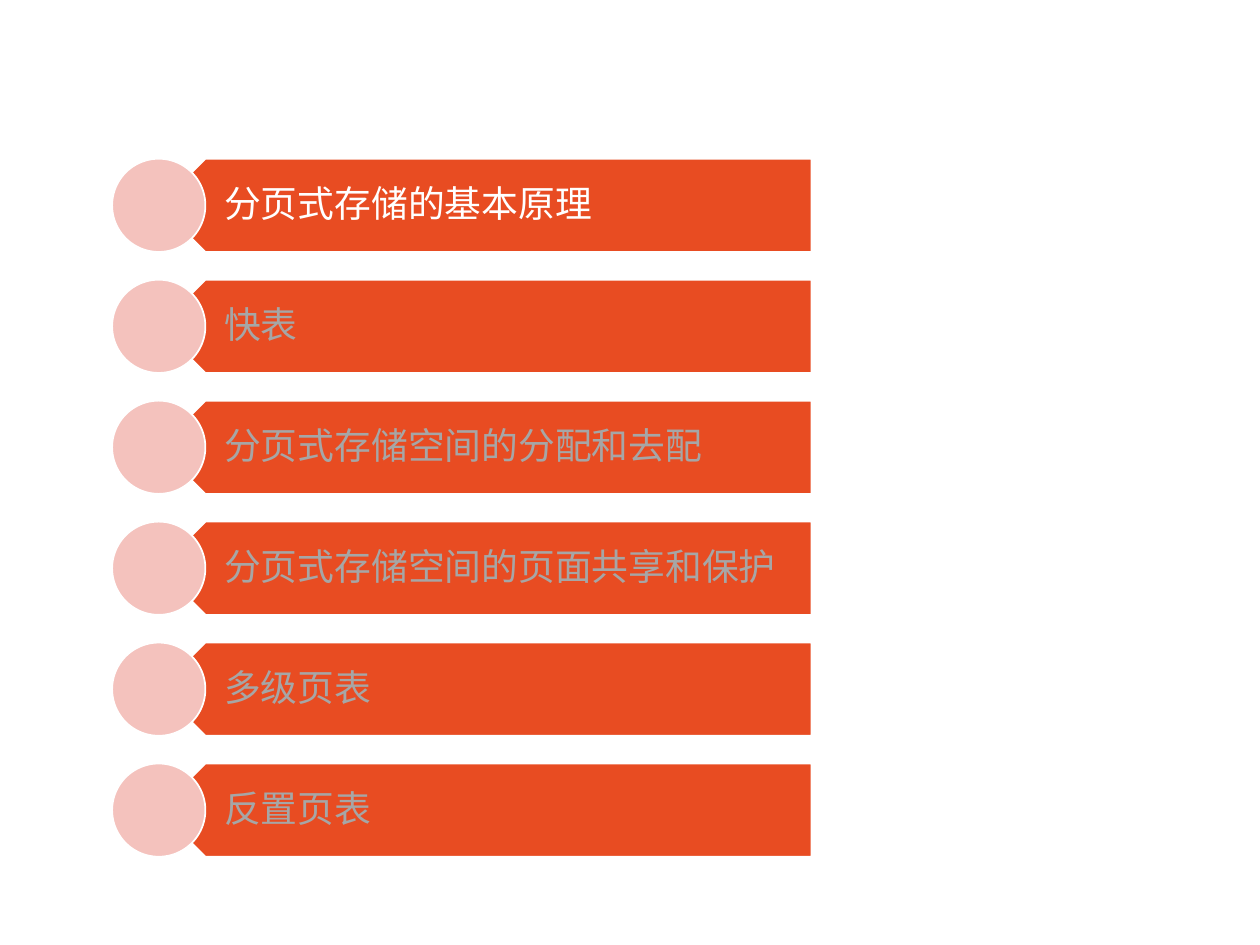
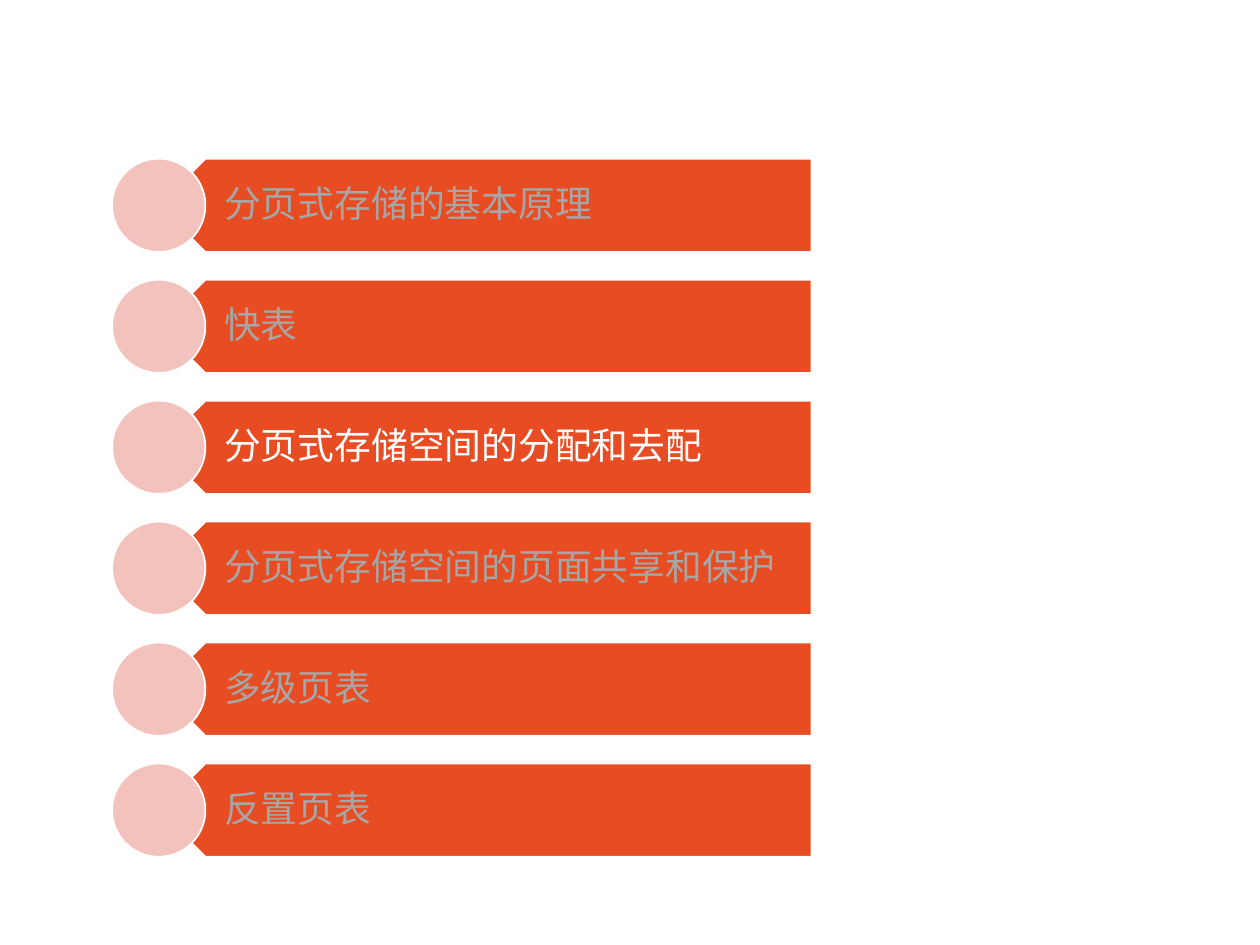
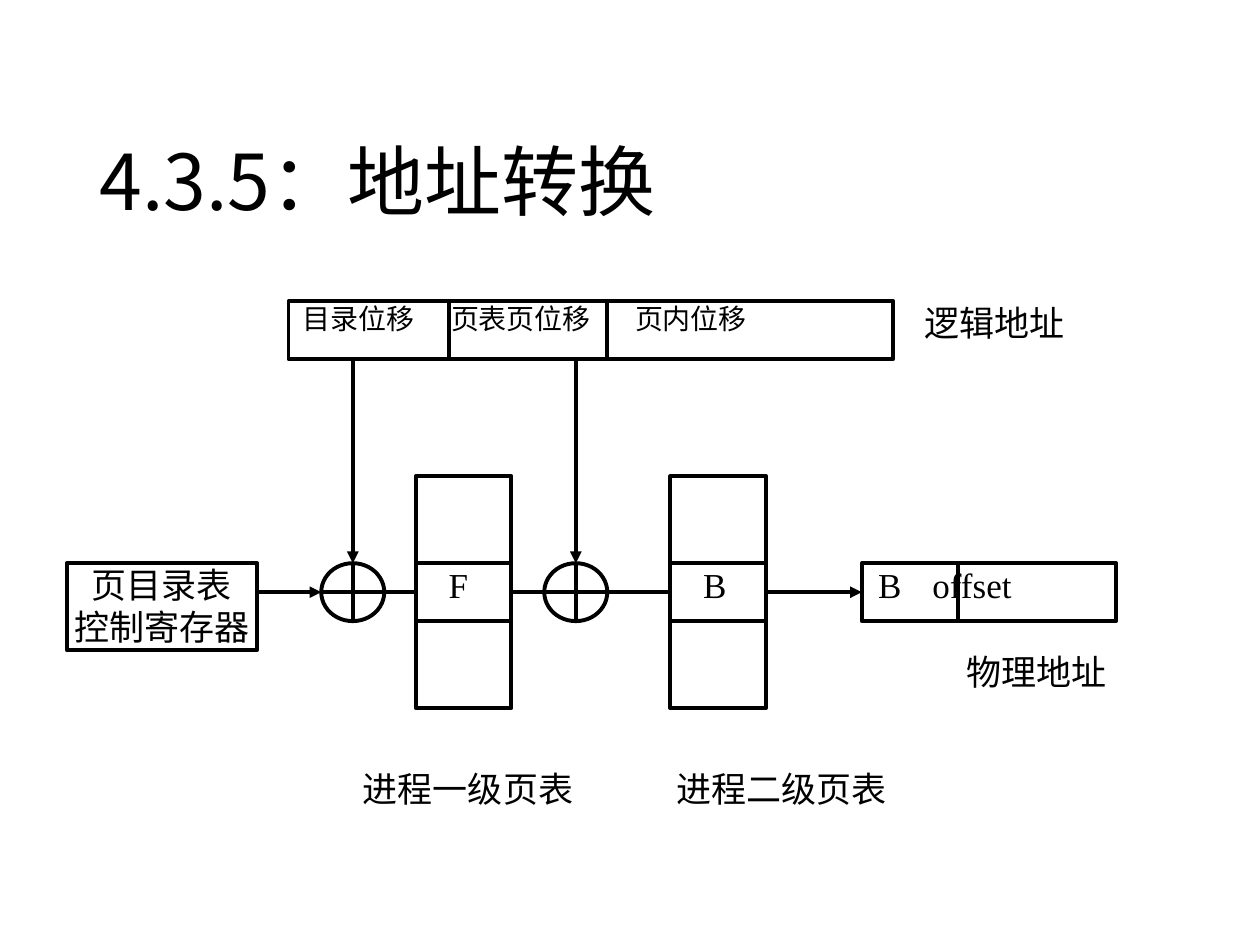
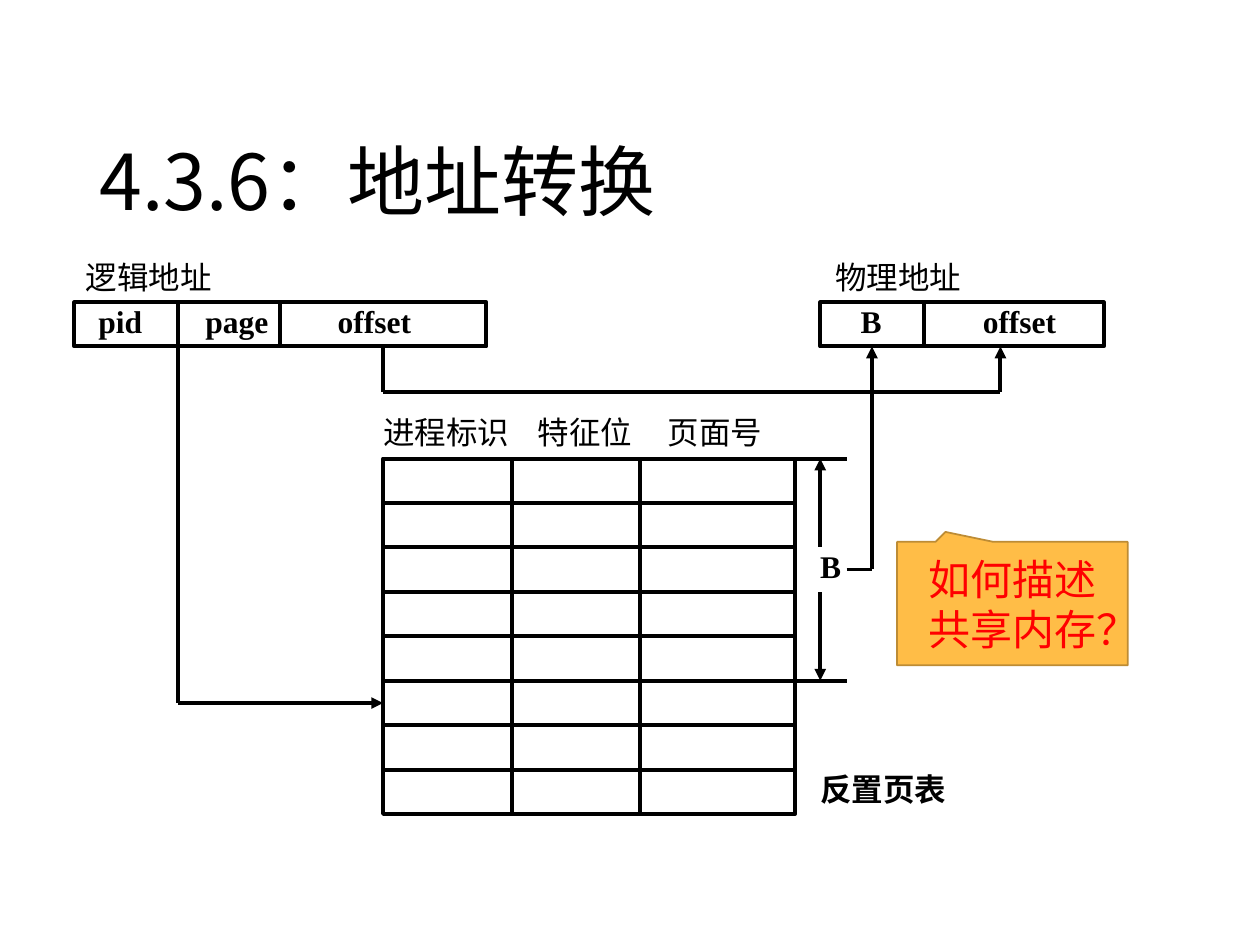
from lxml import etree
from pptx import Presentation
from pptx import util as u
from pptx.dml.color import RGBColor
from pptx.enum import shapes, text
from pptx.oxml.ns import qn

CJK, LATIN, SERIF = "Noto Sans CJK SC", "Calibri", "Times New Roman"
BLACK, WHITE, GREY, RED = "000000", "FFFFFF", "A6A6A6", "FF0000"
ORANGE, PINK, AMBER, BROWN = "E84C22", "F4C2BD", "FFBD47", "BD8C35"
SHAPE = shapes.MSO_SHAPE
LEFT, CENTER = text.PP_ALIGN.LEFT, text.PP_ALIGN.CENTER
TOP, MIDDLE, BOTTOM = (text.MSO_ANCHOR.TOP, text.MSO_ANCHOR.MIDDLE,
                       text.MSO_ANCHOR.BOTTOM)
STROKE = 2.25
TOPICS = ["分页式存储的基本原理", "快表", "分页式存储空间的分配和去配",
          "分页式存储空间的页面共享和保护", "多级页表", "反置页表"]


def rgb(value):
    return RGBColor.from_string(value)


class Deck:
    def __init__(self):
        self.prs = Presentation()
        self.prs.slide_width, self.prs.slide_height = u.Inches(10), u.Inches(7.5)
        self.s = None

    def new_slide(self, title=None):
        self.s = self.prs.slides.add_slide(self.prs.slide_layouts[6])
        if title:
            self.label(title, 0.69, 0.4, 8.62, 1.45, size=44, anchor=BOTTOM,
                       insets=(0.1, 0.05, 0.1, 0.05), spacing=0.9)

    def set_text(self, sp, content, size=20, font=CJK, color=BLACK, bold=False,
                 align=LEFT, anchor=TOP, insets=(0, 0, 0, 0), spacing=None, tabs=()):
        """Fill a shape with text; tabs are measured from the left inset."""
        tf = sp.text_frame
        tf.word_wrap = True
        tf.vertical_anchor = anchor
        (tf.margin_left, tf.margin_top,
         tf.margin_right, tf.margin_bottom) = map(u.Inches, insets)
        tf.text = content
        for p in tf.paragraphs:
            p.alignment = align
            if spacing:
                p.line_spacing = spacing
            if tabs:
                tab_list = etree.SubElement(p._p.get_or_add_pPr(), qn("a:tabLst"))
                for stop in tabs:
                    etree.SubElement(tab_list, qn("a:tab"),
                                     pos=str(u.Inches(stop)), algn="l")
            for r in p.runs:
                r.font.size, r.font.name, r.font.bold = u.Pt(size), font, bold
                r.font.color.rgb = rgb(color)
                etree.SubElement(r._r.get_or_add_rPr(), qn("a:ea"), typeface=CJK)

    def label(self, content, x, y, w, h, **style):
        sp = self.s.shapes.add_textbox(*map(u.Inches, (x, y, w, h)))
        self.set_text(sp, content, **style)

    def shape(self, kind, x, y, w, h, fill=None, line=BLACK, width=STROKE):
        sp = self.s.shapes.add_shape(kind, *map(u.Inches, (x, y, w, h)))
        sp.shadow.inherit = False
        if fill:
            sp.fill.solid()
            sp.fill.fore_color.rgb = rgb(fill)
        else:
            sp.fill.background()
        sp.line.color.rgb = rgb(line)
        sp.line.width = u.Pt(width)
        return sp

    def line(self, x1, y1, x2, y2, arrow=False, begin=None, end=None):
        """Draw a line; begin and end are (shape, side) pairs to join."""
        c = self.s.shapes.add_connector(shapes.MSO_CONNECTOR.STRAIGHT,
                                        *map(u.Inches, (x1, y1, x2, y2)))
        c.line.color.rgb = rgb(BLACK)
        c.line.width = u.Pt(STROKE)
        if begin:
            c.begin_connect(*begin)
        if end:
            c.end_connect(*end)
        sp_pr = c._element.spPr
        if arrow:
            etree.SubElement(sp_pr.find(qn("a:ln")), qn("a:tailEnd"), type="triangle")
        etree.SubElement(sp_pr, qn("a:effectLst"))

    def route(self, *points):
        """Join points with straight lines, the last one with an arrowhead."""
        for i, (a, b) in enumerate(zip(points, points[1:]), 2):
            self.line(*a, *b, arrow=i == len(points))

    def grid(self, x, y, w, h, columns=(), rows=()):
        """Draw a frame divided at the given x and y places."""
        frame = self.shape(SHAPE.RECTANGLE, x, y, w, h)
        for cx in columns:
            self.line(cx, y, cx, y + h)
        for ry in rows:
            self.line(x, ry, x + w, ry)
        return frame

    def bar(self, fields, x, y, w, h, columns, starts, **style):
        """Draw an address bar whose fields start at the given offsets."""
        frame = self.grid(x, y, w, h, columns)
        self.set_text(frame, "\t".join(fields), insets=(starts[0], 0, 0, 0),
                      tabs=[start - starts[0] for start in starts[1:]], **style)
        return frame

    def agenda(self, current):
        self.new_slide()
        h = 0.74
        for i, topic in enumerate(TOPICS):
            y = 1.26 + 0.96 * i
            plate = self.shape(SHAPE.PENTAGON, 1.26, y, 5.18, h, ORANGE, WHITE, 1)
            plate.rotation = 180
            self.label(topic, 1.45, y, 4.99, h, size=21, font=LATIN,
                       color=WHITE if i == current else GREY, anchor=MIDDLE,
                       insets=(0.33, 0.09, 0.16, 0.09), spacing=0.9)
            self.shape(SHAPE.OVAL, 0.89, y, h, h, PINK, WHITE, 1)


def two_level_slide(d):
    d.new_slide("4.3.5：地址转换")
    row, mid, h = 4.47, 4.7, 0.46

    # Logical and physical addresses
    d.bar(["目录位移", "页表页位移", "页内位移"], 2.29, 2.39, 4.8, h,
          (3.56, 4.82), (0.11, 1.29, 2.75), size=16)
    physical = d.bar(["B", "offset"], 6.84, row, 2.02, h, (7.6,), (0.13, 0.56),
                     font=SERIF)
    d.label("逻辑地址", 7.34, 2.39, 1.77, h)
    d.label("物理地址", 7.34, 5.16, 1.77, h, align=CENTER)

    # Directory register
    register = d.shape(SHAPE.RECTANGLE, 0.53, row, 1.51, 0.69)
    d.set_text(register, "页目录表\n控制寄存器", align=CENTER)

    # Page tables
    tables = []
    for x, entry in ((3.3, "F"), (5.32, "B")):
        tables.append(d.grid(x, 3.78, 0.76, 1.84, rows=(row, row + h)))
        d.label(entry, x + 0.26, row, 0.25, h, font=SERIF)
    d.label("进程一级页表", 2.8, 6.09, 1.83, h, align=CENTER)
    d.label("进程二级页表", 5.32, 6.09, 1.77, h, align=CENTER)
    first, second = tables

    # Adders, each fed from the logical address
    for x in (2.55, 4.32):
        adder = d.shape(SHAPE.FLOWCHART_OR, x, row, 0.5, h)
        d.line(x + 0.25, 2.85, x + 0.25, row, arrow=True, end=(adder, 0))

    # Flow from register to physical address
    d.line(2.04, mid, 2.55, mid, arrow=True)
    d.line(3.05, mid, 3.3, mid, end=(first, 1))
    d.line(4.06, mid, 4.32, mid, begin=(first, 3))
    d.line(4.82, mid, 5.32, mid, end=(second, 1))
    d.line(6.08, mid, 6.84, mid, arrow=True, begin=(second, 3), end=(physical, 1))


def inverted_slide(d):
    d.new_slide("4.3.6：地址转换")
    h = 0.35
    plain = dict(size=18, font=SERIF)
    bold = dict(plain, bold=True)

    # Logical and physical addresses
    d.bar(["pid", "page", "offset"], 0.59, 2.4, 3.27, h, (1.41, 2.22),
          (0.19, 1.04, 2.09), **bold)
    d.bar(["B", "offset"], 6.51, 2.4, 2.25, h, (7.33,), (0.32, 1.29), **bold)
    d.label("逻辑地址", 0.68, 2.05, 1.02, h, **plain)
    d.label("物理地址", 6.63, 2.05, 1.02, h, **plain)

    # Inverted page table of eight equal rows
    left, top, w, height = 3.04, 3.64, 3.27, 2.82
    right = left + w
    rows = [top + height * i / 8 for i in range(1, 8)]
    d.grid(left, top, w, height, (4.06, 5.08), rows)
    d.label("进程标识\t特征位\t页面号", left, 3.28, w, h, tabs=(1.23, 2.26), **plain)
    d.label("反置页表", 6.51, 6.11, 1.02, h, **bold)

    # Distance B from the top of the table to the matching row
    match = rows[4]
    for y in (top, match):
        d.line(right, y, 6.72, y)
    d.label("B", 6.51, 4.34, 0.2, h, **bold)
    d.route((6.51, 4.34), (6.51, top))
    d.route((6.51, 4.7), (6.51, match))

    # Paths between addresses and table
    d.route((1.41, 2.75), (1.41, 5.58), (left, 5.58))
    d.route((6.72, 4.52), (6.92, 4.52), (6.92, 2.75))
    d.route((left, 2.75), (left, 3.11), (7.94, 3.11), (7.94, 2.75))

    # Question
    callout = d.shape(SHAPE.RECTANGULAR_CALLOUT, 7.12, 4.3, 1.83, 0.98,
                      AMBER, BROWN, 1)
    callout.adjustments[0], callout.adjustments[1] = -0.29, -0.58
    d.set_text(callout, "如何描述共享内存？", size=24, font=LATIN, color=RED,
               align=CENTER, anchor=MIDDLE, insets=(0.1, 0.05, 0.1, 0.05))


def main():
    d = Deck()
    d.agenda(current=0)
    d.agenda(current=2)
    two_level_slide(d)
    inverted_slide(d)
    d.prs.save("out.pptx")


if __name__ == "__main__":
    main()
